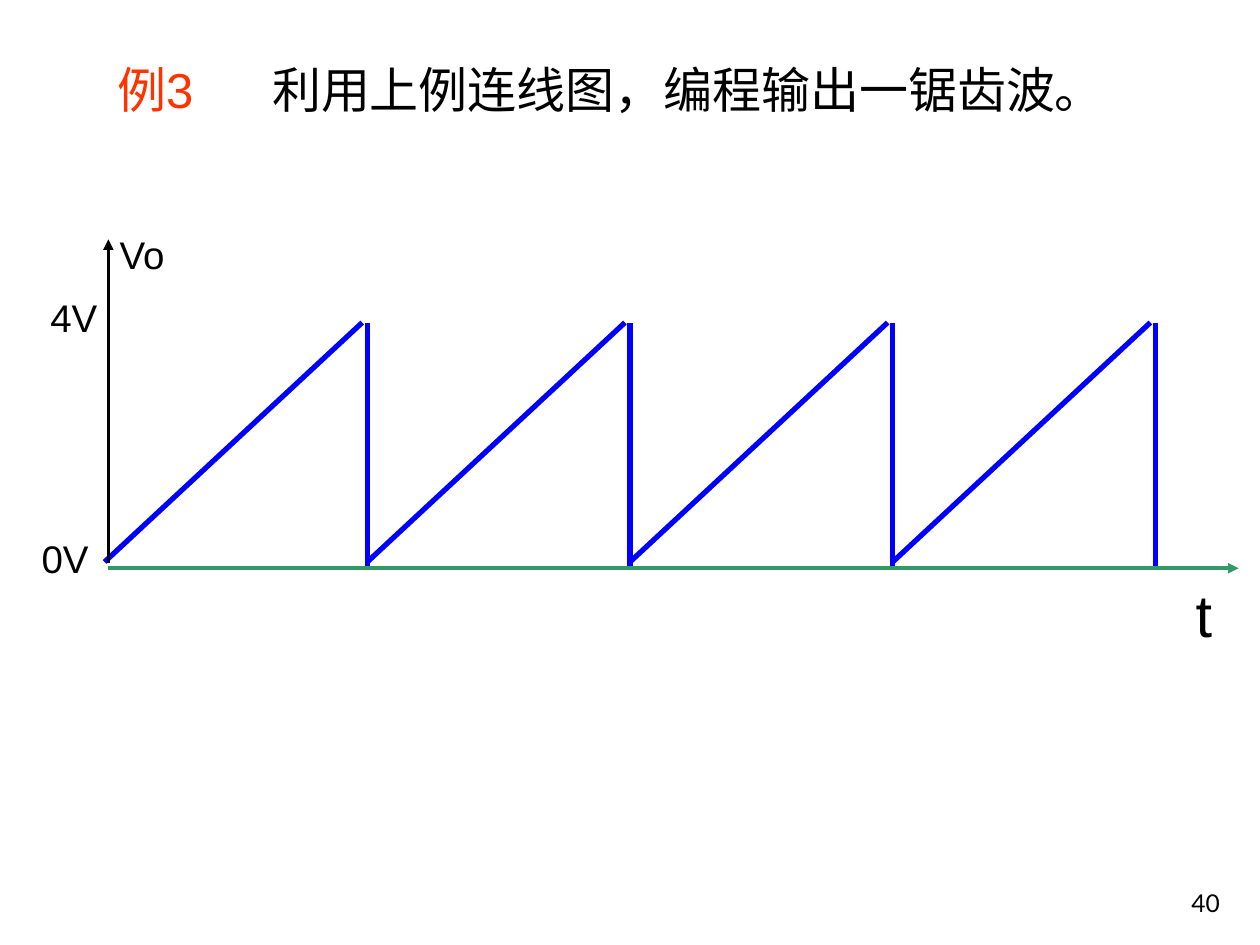
from dataclasses import dataclass

from lxml import etree
from pptx import Presentation
from pptx.dml.color import RGBColor
from pptx.enum.shapes import MSO_CONNECTOR
from pptx.enum.text import MSO_ANCHOR, MSO_AUTO_SIZE, PP_ALIGN
from pptx.oxml.ns import qn
from pptx.util import Inches, Pt

STRAIGHT = MSO_CONNECTOR.STRAIGHT
TOP, BOTTOM = MSO_ANCHOR.TOP, MSO_ANCHOR.BOTTOM
LEFT, RIGHT = PP_ALIGN.LEFT, PP_ALIGN.RIGHT
NO_AUTOFIT = MSO_AUTO_SIZE.NONE
TITLE_ONLY = 5


@dataclass(frozen=True)
class Theme:
    ink: RGBColor = RGBColor(0, 0, 0)
    accent: RGBColor = RGBColor(0xFF, 0x33, 0)
    wave: RGBColor = RGBColor(0, 0, 0xFF)
    time_axis: RGBColor = RGBColor(0x33, 0x99, 0x66)
    font: str = "Arial"
    number_font: str = "Lato"
    title_size: int = 28
    label_size: int = 22
    time_size: int = 34
    number_size: int = 14
    axis_width: int = 2
    wave_width: int = 3


THEME = Theme()


def set_font(font, size, color=THEME.ink, name=THEME.font):
    font.size, font.name, font.color.rgb = Pt(size), name, color


def add_line(page, start, end, color, width, arrow=False):
    points = [Inches(value) for value in (*start, *end)]
    line = page.shapes.add_connector(STRAIGHT, *points)
    line.line.color.rgb = color
    line.line.width = Pt(width)
    if arrow:
        outline = line.line._get_or_add_ln()
        etree.SubElement(outline, qn("a:tailEnd"), type="triangle")
    etree.SubElement(line._element.spPr, qn("a:effectLst"))


def add_label(page, box, text, size):
    """Place a one-line label without insets."""
    frame = page.shapes.add_textbox(*map(Inches, box)).text_frame
    frame.margin_left = frame.margin_right = 0
    frame.margin_top = frame.margin_bottom = 0
    frame.text = text
    set_font(frame.paragraphs[0].font, size)


def fill_title(page, box, tag, text, tab):
    title = page.shapes.title
    title.left, title.top, title.width, title.height = map(Inches, box)
    frame = title.text_frame
    frame.auto_size = NO_AUTOFIT
    frame.word_wrap = True
    frame.vertical_anchor = TOP
    para = frame.paragraphs[0]
    para.alignment = LEFT
    tabs = etree.SubElement(para._p.get_or_add_pPr(), qn("a:tabLst"))
    etree.SubElement(tabs, qn("a:tab"), pos=str(Inches(tab)), algn="l")
    for words, color in ((tag, THEME.accent), ("\t" + text, THEME.ink)):
        span = para.add_run()
        span.text = words
        set_font(span.font, THEME.title_size, color)


def draw_sawtooth(page, box, teeth):
    left, top, width, height = box
    period = width / teeth
    bottom = top + height
    for tooth in range(teeth):
        start = left + tooth * period
        end = start + period
        add_line(page, (start, bottom - 0.04), (end - 0.04, top),
                 THEME.wave, THEME.wave_width)
        add_line(page, (end, top), (end, bottom), THEME.wave, THEME.wave_width)


def draw_axes(page, box):
    left, top, width, height = box
    bottom = top + height
    add_line(page, (left, bottom), (left + width, bottom),
             THEME.time_axis, THEME.axis_width, arrow=True)
    add_line(page, (left, bottom - 0.04), (left, top),
             THEME.ink, THEME.axis_width, arrow=True)
    add_label(page, (left + width - 0.34, bottom + 0.08, 0.23, 0.53),
              "t", THEME.time_size)
    add_label(page, (left + 0.09, top - 0.07, 0.41, 0.53),
              "Vo", THEME.label_size)
    add_label(page, (left - 0.46, top + 0.43, 0.51, 0.46),
              "4V", THEME.label_size)
    add_label(page, (left - 0.53, bottom - 0.26, 0.5, 0.42),
              "0V", THEME.label_size)


def add_page_number(page, box, number):
    frame = page.shapes.add_textbox(*map(Inches, box)).text_frame
    frame.word_wrap = True
    frame.vertical_anchor = BOTTOM
    frame.text = number
    para = frame.paragraphs[0]
    para.alignment = RIGHT
    set_font(para.font, THEME.number_size, name=THEME.number_font)


def main():
    deck = Presentation()
    deck.slide_width, deck.slide_height = Inches(10), Inches(7.5)
    page = deck.slides.add_slide(deck.slide_layouts[TITLE_ONLY])
    add_page_number(page, (7.7, 6.83, 2.08, 0.5), "40")
    draw_sawtooth(page, (0.83, 2.56, 8.34, 1.94), teeth=4)
    fill_title(page, (0.83, 0.42, 7.83, 1.04), "例3",
               "利用上例连线图，编程输出一锯齿波。", tab=1.23)
    draw_axes(page, (0.86, 1.9, 8.97, 2.61))
    deck.save("out.pptx")


if __name__ == "__main__":
    main()
